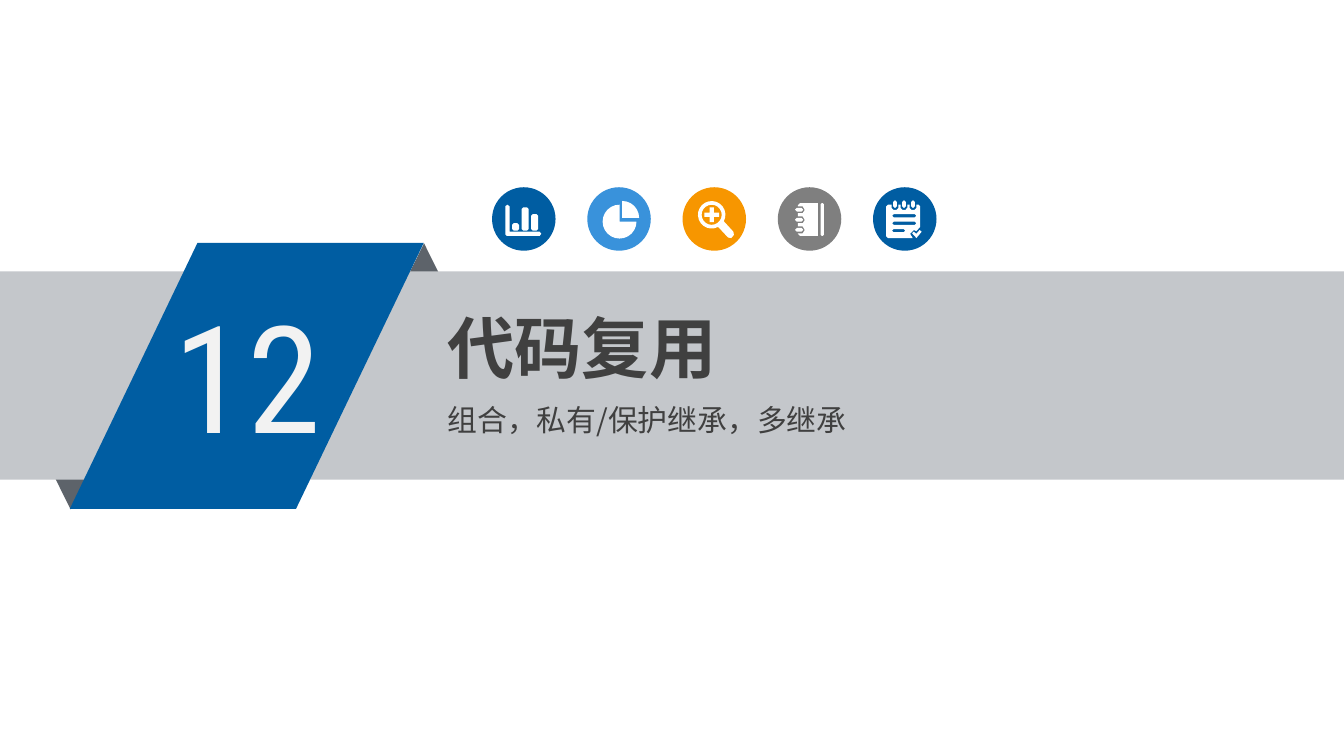
from dataclasses import dataclass
from math import cos, radians, sin

from lxml import etree
from pptx import Presentation
from pptx.dml.color import RGBColor
from pptx.enum.shapes import MSO_SHAPE
from pptx.oxml.ns import qn
from pptx.util import Cm, Pt

RECT = MSO_SHAPE.RECTANGLE
OVAL = MSO_SHAPE.OVAL
SLANT = MSO_SHAPE.PARALLELOGRAM
WEDGE = MSO_SHAPE.ISOSCELES_TRIANGLE


@dataclass(frozen=True)
class Theme:
    blue: str = "005DA2"
    sky: str = "3992DB"
    orange: str = "F79600"
    gray: str = "7F7F7F"
    band: str = "C4C7CB"
    fold: str = "5D636A"
    ink: str = "404040"
    pale: str = "F2F2F2"
    white: str = "FFFFFF"
    digit: str = "Roboto Condensed"
    sans: str = "Noto Sans CJK SC"
    huge: int = 80
    title: int = 36
    small: int = 16


THEME = Theme()


def paint(shape, color):
    shape.shadow.inherit = False
    shape.fill.solid()
    shape.fill.fore_color.rgb = RGBColor.from_string(color)
    shape.line.fill.background()


def place(shapes, kind, box, color):
    shape = shapes.add_shape(kind, *map(Cm, box))
    paint(shape, color)
    return shape


def write(slide, box, text, face, size, color, bold=False):
    frame = slide.shapes.add_textbox(*map(Cm, box)).text_frame
    frame.word_wrap = True
    frame.margin_left = frame.margin_right = Cm(0.19)
    frame.margin_top = frame.margin_bottom = Cm(0.1)
    run = frame.paragraphs[0].add_run()
    run.text = text
    font = run.font
    font.name, font.size, font.bold = face, Pt(size), bold
    font.color.rgb = RGBColor.from_string(color)
    etree.SubElement(run._r.get_or_add_rPr(), qn("a:ea"), typeface=face)


def arc(x, y, r, start, end, steps):
    turns = [radians(start + (end - start) * i / steps) for i in range(steps + 1)]
    return [(x + r * cos(t), y + r * sin(t)) for t in turns]


def block(x, y, w, h, cut=0.03):
    r, b = x + w, y + h
    return [(x + cut, y), (r - cut, y), (r, y + cut), (r, b - cut),
            (r - cut, b), (x + cut, b), (x, b - cut), (x, y + cut)]


def bars():
    axis = [(0.25, 0.36), (0.29, 0.33), (0.33, 0.36), (0.33, 0.84), (0.9, 0.84),
            (0.93, 0.88), (0.9, 0.92), (0.28, 0.92), (0.25, 0.89)]
    tops = (0.68, 0.38, 0.51)
    return [axis] + [block(0.38 + 0.18 * i, top, 0.13, 0.82 - top) for i, top in enumerate(tops)]


def slices():
    return [arc(0.61, 0.65, 0.32, 0, 270, 18) + [(0.61, 0.65)],
            arc(0.66, 0.58, 0.32, 270, 360, 6) + [(0.66, 0.58)]]


def lens():
    x, y, arm, half = 0.55, 0.52, 0.14, 0.04
    rim = arc(x, y, 0.26, 62, 388, 20) + [(0.96, 0.84), (0.97, 0.9), (0.92, 0.96), (0.86, 0.95)]
    side = [(-half, -arm), (half, -arm), (half, -half)]
    plus = []
    for _ in range(4):
        plus += [(x + a, y + b) for a, b in side]
        side = [(-b, a) for a, b in side]
    return [rim, arc(x, y, 0.19, 0, 342, 19), plus]


def book():
    tops = [0.36 + 0.19 * i for i in range(3)]
    page = [(0.38, 0.34), (0.42, 0.3), (0.76, 0.3), (0.76, 0.92), (0.42, 0.92), (0.38, 0.88)]
    for top in reversed(tops):
        page += [(0.38, top + 0.13), (0.47, top + 0.13), (0.51, top + 0.07), (0.47, top), (0.38, top)]
    rings = [block(0.33, top + 0.03, 0.15, 0.07) for top in tops]
    return [page, block(0.81, 0.3, 0.06, 0.62, 0.02)] + rings


def notes():
    lefts = [0.35 + 0.17 * i for i in range(3)]
    page = [(0.28, 0.33)]
    for x in lefts:
        page += [(x, 0.33), (x, 0.39), (x + 0.04, 0.43), (x + 0.09, 0.43), (x + 0.13, 0.39), (x + 0.13, 0.33)]
    page += [(0.86, 0.33), (0.89, 0.36), (0.89, 0.75), (0.82, 0.83), (0.77, 0.81),
             (0.7, 0.88), (0.75, 0.96), (0.28, 0.96), (0.25, 0.93), (0.25, 0.36)]
    check = [(0.74, 0.87), (0.77, 0.84), (0.82, 0.88), (0.88, 0.81), (0.92, 0.84), (0.82, 0.96)]
    rings = [block(x + 0.03, 0.25, 0.07, 0.14) for x in lefts]
    lines = [block(0.36, 0.51 + 0.14 * i, w, 0.06) for i, w in enumerate((0.46, 0.46, 0.25))]
    return [page, check] + rings + lines


def badge(slide, i, color, loops):
    shapes = slide.shapes.add_group_shape().shapes
    left, top = 9.3 + 1.8 * i, 3.54
    place(shapes, OVAL, (left, top, 1.2, 1.2), color)
    spots = [[(Cm(left + x), Cm(top + y)) for x, y in loop] for loop in loops]
    pen = shapes.build_freeform(*spots[0][0])
    pen.add_line_segments(spots[0][1:], close=True)
    for first, *rest in spots[1:]:
        pen.move_to(*first)
        pen.add_line_segments(rest, close=True)
    paint(pen.convert_to_shape(), THEME.white)


def banner(slide):
    shapes = slide.shapes.add_group_shape().shapes
    place(shapes, WEDGE, (6.87, 4.6, 2.29, 2.31), THEME.fold)
    place(shapes, WEDGE, (0.19, 7.32, 2.29, 2.31), THEME.fold).rotation = 180
    place(shapes, RECT, (0, 5.13, 25.4, 3.94), THEME.band)
    place(shapes, SLANT, (1.32, 4.59, 6.69, 5.03), THEME.blue).adjustments[0] = 0.48


def main():
    deck = Presentation()
    deck.slide_width, deck.slide_height = Cm(25.4), Cm(14.29)
    slide = deck.slides.add_slide(deck.slide_layouts[6])
    banner(slide)
    write(slide, (3.09, 5.28, 3.68, 3.61), "12", THEME.digit, THEME.huge, THEME.pale)
    write(slide, (8.27, 5.69, 14.02, 1.73), "代码复用", THEME.sans, THEME.title, THEME.ink, True)
    write(slide, (8.27, 7.49, 16.94, 0.89), "组合，私有/保护继承，多继承", THEME.sans, THEME.small, THEME.ink)
    colors = (THEME.blue, THEME.sky, THEME.orange, THEME.gray, THEME.blue)
    for i, (color, icon) in enumerate(zip(colors, (bars, slices, lens, book, notes))):
        badge(slide, i, color, icon())
    deck.save("out.pptx")


if __name__ == "__main__":
    main()
